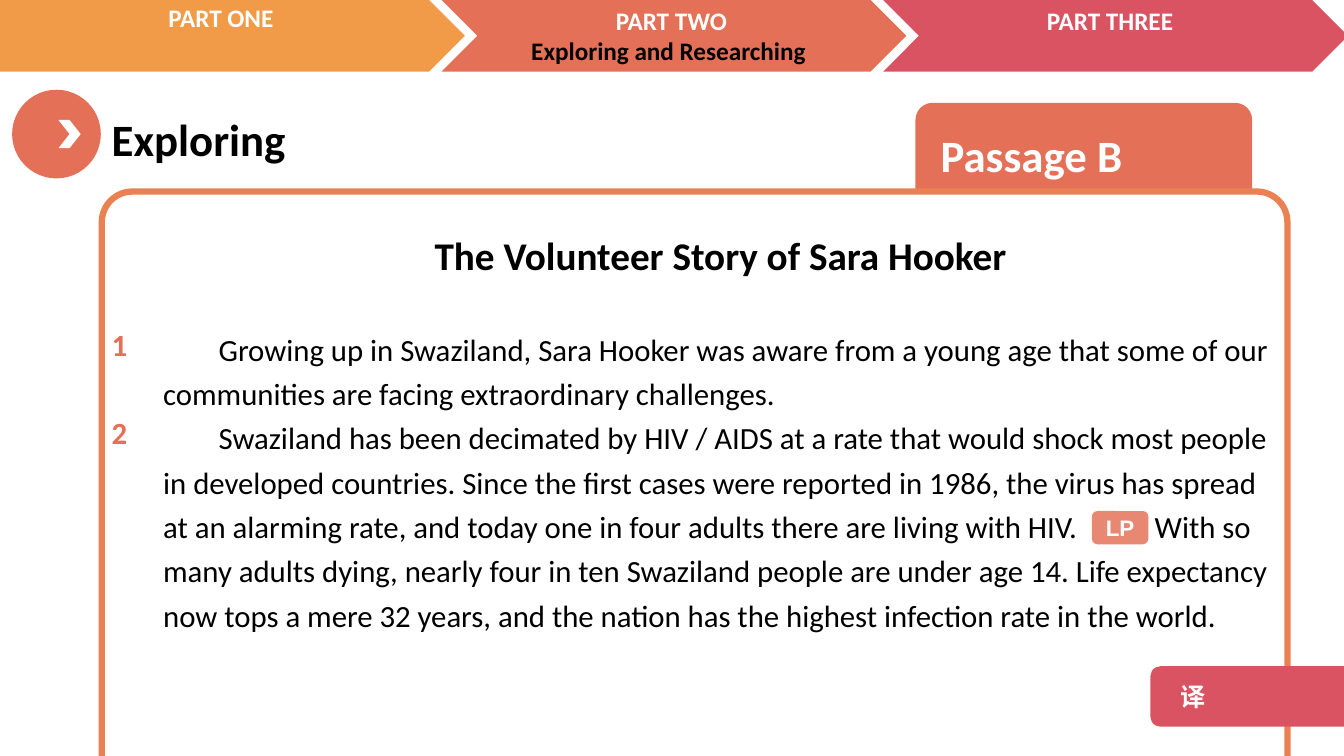
from lxml import etree
from pptx import Presentation
from pptx.dml.color import RGBColor
from pptx.enum.shapes import MSO_SHAPE
from pptx.enum.text import MSO_ANCHOR, PP_ALIGN
from pptx.oxml.ns import qn
from pptx.util import Inches, Pt

CHEVRON, OVAL, ROUND = MSO_SHAPE.CHEVRON, MSO_SHAPE.OVAL, MSO_SHAPE.ROUNDED_RECTANGLE
LEFT, CENTER = PP_ALIGN.LEFT, PP_ALIGN.CENTER
MIDDLE = MSO_ANCHOR.MIDDLE

BLACK = RGBColor(0x00, 0x00, 0x00)
WHITE = RGBColor(0xFF, 0xFF, 0xFF)
AMBER = RGBColor(0xF1, 0x9B, 0x48)
CORAL = RGBColor(0xE4, 0x70, 0x57)
ROSE = RGBColor(0xDA, 0x53, 0x62)
ORANGE = RGBColor(0xEA, 0x81, 0x52)

TITLE = "The Volunteer Story of Sara Hooker"
STORY = [
    "Growing up in Swaziland, Sara Hooker was aware from a young age that some of our",
    "communities are facing extraordinary challenges.",
    "Swaziland has been decimated by HIV / AIDS at a rate that would shock most people "
    "in developed countries. Since the first cases were reported in 1986, the virus has "
    "spread at an alarming rate, and today one in four adults there are living with HIV.",
]
REST = (
    "With so many adults dying, nearly four in ten Swaziland people are under age 14. "
    "Life expectancy now tops a mere 32 years, and the nation has the highest infection "
    "rate in the world."
)


def style(para, size, color, bold=True, align=LEFT, font="Calibri"):
    """Format a paragraph and its runs."""
    para.alignment = align
    for run in para.runs:
        run.font.size = Pt(size)
        run.font.bold = bold
        run.font.name = font
        run.font.color.rgb = color


def add_form(slide, kind, box, fill):
    """Add a flat filled shape without outline."""
    form = slide.shapes.add_shape(kind, *map(Inches, box))
    form.shadow.inherit = False
    form.fill.solid()
    form.fill.fore_color.rgb = fill
    form.line.fill.background()
    return form


def add_text(slide, box, lines):
    """Add a wrapping text box and return its paragraphs."""
    frame = slide.shapes.add_textbox(*map(Inches, box)).text_frame
    frame.word_wrap = True
    frame.text = "\n".join(lines)
    return frame.paragraphs


def add_label(form, text, size, inset=0.1, align=LEFT, font="Calibri"):
    """Write white text in the middle of a shape."""
    frame = form.text_frame
    frame.text = text
    frame.vertical_anchor = MIDDLE
    frame.margin_left = Inches(inset)
    style(frame.paragraphs[0], size, WHITE, align=align, font=font)


def add_nav(slide, left, top, width, height):
    """Draw the three-part progress bar."""
    step = width - 0.23
    add_form(slide, CHEVRON, (left + step, top, width, height), CORAL)
    add_form(slide, CHEVRON, (left + 2 * step, top, width, height), ROSE)
    add_form(slide, CHEVRON, (left - 0.61, top, width + 0.61, height), AMBER)
    parts = [
        (-0.06, -0.03, ["PART ONE "]),
        (4.38, 0, ["PART TWO", "Exploring and Researching "]),
        (8.73, 0, ["PART THREE"]),
    ]
    for dx, dy, lines in parts:
        paras = add_text(slide, (left + dx, top + dy, 4.56, height), lines)
        for para, color in zip(paras, (WHITE, BLACK)):
            style(para, 18, color, align=CENTER)


def add_head(slide, left, top, size):
    """Draw the round marker and the section heading."""
    add_form(slide, OVAL, (left, top, size, size), CORAL)
    add_form(slide, CHEVRON, (left + 0.46, top + 0.3, 0.22, 0.28), WHITE)
    paras = add_text(slide, (left + 0.89, top + 0.17, 4.85, 0.64), ["Exploring"])
    style(paras[0], 32, BLACK)


def add_panel(slide, left, top, width, height):
    """Draw the framed panel with its tab behind."""
    tab = add_form(slide, ROUND, (left + 8.07, top - 0.88, 3.34, 1.02), CORAL)
    add_label(tab, "Passage B", 32, inset=0.2)
    panel = add_form(slide, ROUND, (left, top, width, height), WHITE)
    panel.adjustments[0] = 0.047
    panel.line.color.rgb = ORANGE
    panel.line.width = Pt(4.5)


def add_story(slide, left, top, width, height):
    """Write the passage with its paragraph numbers."""
    title, *body = add_text(slide, (left, top, width, height), [TITLE] + STORY)
    style(title, 28, BLACK, align=CENTER)
    title.line_spacing = 1.2
    title.space_after = Pt(32)
    gap, rest = body[-1].add_run(), body[-1].add_run()
    gap.text, rest.text = " ", REST
    for para in body:
        style(para, 22, BLACK, bold=False)
        para.line_spacing = 1.2
    for para in body[::2]:
        para._p.get_or_add_pPr().set("indent", str(Inches(0.55)))
    gap.font._element.set("spc", "5000")

    marks = add_text(slide, (left - 0.51, top + 0.96, 0.51, height), ["1", "2"])
    for para in marks:
        style(para, 22, CORAL)
        para.line_spacing = 1.2
    marks[1].space_before = Pt(31)


def add_keys(slide, left, top, width, height):
    """Draw the translation tab and the language point badge."""
    key = add_form(slide, ROUND, (left, top, width, height), ROSE)
    add_label(key, "译", 18, inset=0.27, font="Noto Sans CJK SC")
    props = key.text_frame.paragraphs[0].runs[0].font._element
    etree.SubElement(props, qn("a:ea"), typeface="Noto Sans CJK SC")

    badge = add_form(slide, ROUND, (left - 0.58, top - 1.54, 0.56, 0.33), CORAL)
    tint = badge._element.spPr.find(qn("a:solidFill")).find(qn("a:srgbClr"))
    etree.SubElement(tint, qn("a:alpha"), val="83000")
    add_label(badge, "LP", 16, align=CENTER, font="Arial")


def main():
    """Build the slide and save it."""
    deck = Presentation()
    deck.slide_width = Inches(13.33)
    deck.slide_height = Inches(7.5)
    slide = deck.slides.add_slide(deck.slide_layouts[6])
    add_nav(slide, 0, 0, 4.61, 0.71)
    add_head(slide, 0.12, 0.89, 0.88)
    add_panel(slide, 1.01, 1.9, 11.76, 6.45)
    add_story(slide, 1.52, 2.15, 11.25, 4.22)
    add_keys(slide, 11.41, 6.61, 2.13, 0.6)
    deck.save("out.pptx")


if __name__ == "__main__":
    main()
